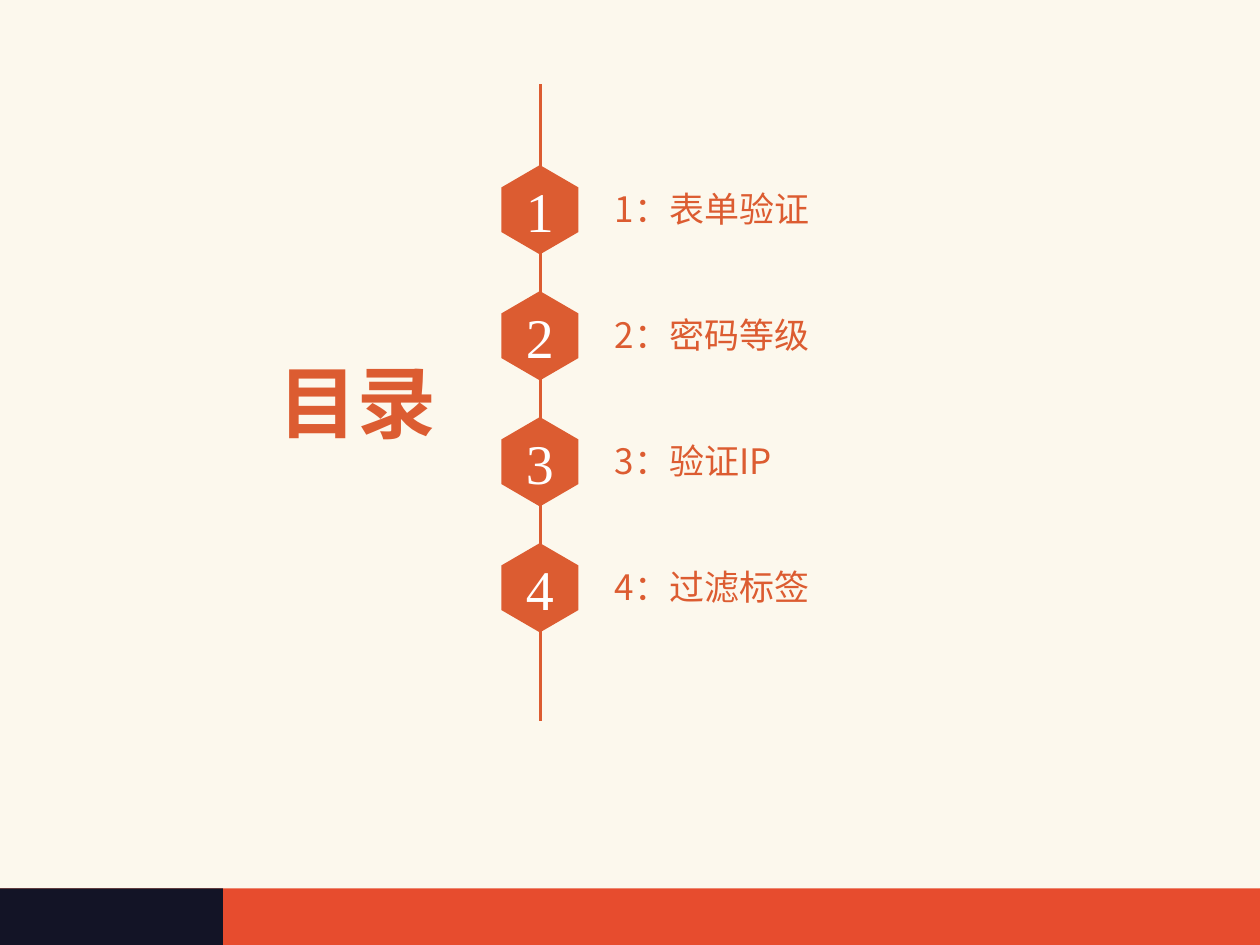
from pptx import Presentation
from pptx.dml.color import RGBColor
from pptx.enum.shapes import MSO_CONNECTOR, MSO_SHAPE
from pptx.enum.text import MSO_ANCHOR, MSO_AUTO_SIZE, PP_ALIGN
from pptx.oxml.ns import qn
from pptx.util import Inches, Pt
from lxml.etree import SubElement


def rgb(value):
    return RGBColor.from_string(value)


class AgendaSlide:
    CREAM = "FCF8ED"
    ORANGE = "DC5C31"
    RED = "E74C2E"
    NAVY = "131426"
    WHITE = "FFFFFF"
    SANS = "Noto Sans CJK SC"
    SERIF = "Times New Roman"

    def __init__(self, prs):
        self.s = prs.slides.add_slide(prs.slide_layouts[5])
        fill = self.s.background.fill
        fill.solid()
        fill.fore_color.rgb = rgb(self.CREAM)

    def paint(self, sp, color):
        sp.shadow.inherit = False
        sp.fill.solid()
        sp.fill.fore_color.rgb = rgb(color)
        sp.line.fill.background()

    def set_text(self, sp, text, size, font, color, bold=False, wrap=True,
                 align=PP_ALIGN.LEFT, anchor=MSO_ANCHOR.TOP):
        tf = sp.text_frame
        tf.text = text
        tf.word_wrap = wrap
        tf.auto_size = MSO_AUTO_SIZE.SHAPE_TO_FIT_TEXT
        tf.vertical_anchor = anchor
        tf.margin_left = tf.margin_right = Inches(0.05)
        tf.margin_top = tf.margin_bottom = Inches(0.05)
        p = tf.paragraphs[0]
        p.alignment = align
        r = p.runs[0]
        r.font.size = Pt(size)
        r.font.name = font
        r.font.bold = bold
        r.font.color.rgb = rgb(color)
        SubElement(r.font._element, qn("a:ea")).set("typeface", font)

    def title(self, text, x, y, w, h):
        sp = self.s.shapes.title
        sp.left, sp.top, sp.width, sp.height = map(Inches, (x, y, w, h))
        self.set_text(sp, text, 45, self.SANS, self.ORANGE, bold=True, wrap=False)

    def bar(self, x, y, w, h, color):
        sp = self.s.shapes.add_shape(MSO_SHAPE.RECTANGLE, *map(Inches, (x, y, w, h)))
        self.paint(sp, color)

    def line(self, x1, y1, x2, y2):
        sp = self.s.shapes.add_connector(
            MSO_CONNECTOR.STRAIGHT, *map(Inches, (x1, y1, x2, y2)))
        sp.line.color.rgb = rgb(self.ORANGE)
        sp.line.width = Pt(1.5)
        SubElement(sp._element.spPr, qn("a:effectLst"))

    def label(self, text, x, y, w, h):
        sp = self.s.shapes.add_textbox(*map(Inches, (x, y, w, h)))
        self.set_text(sp, text, 20, self.SANS, self.ORANGE)

    def badge(self, text, x, y, w, h):
        group = self.s.shapes.add_group_shape()
        points = [(x + w / 2, y), (x + w, y + h / 4), (x + w, y + h * 3 / 4),
                  (x + w / 2, y + h), (x, y + h * 3 / 4), (x, y + h / 4)]
        corners = [(Inches(px), Inches(py)) for px, py in points]
        outline = group.shapes.build_freeform(*corners[0])
        outline.add_line_segments(corners[1:], close=True)
        self.paint(outline.convert_to_shape(), self.ORANGE)
        sp = group.shapes.add_textbox(*map(Inches, (x, y + 0.06, w, 0.6)))
        self.set_text(sp, text, 32, self.SERIF, self.WHITE,
                      align=PP_ALIGN.CENTER, anchor=MSO_ANCHOR.MIDDLE)


prs = Presentation()
prs.slide_width, prs.slide_height = Inches(10), Inches(7.5)

agenda = AgendaSlide(prs)
agenda.bar(0, 7.05, 10, 0.45, agenda.RED)
agenda.bar(0, 7.05, 1.77, 0.45, agenda.NAVY)
agenda.title("目录", 2.16, 2.76, 1.36, 0.98)
agenda.line(4.29, 0.67, 4.29, 5.72)

topics = [("表单验证", 1.66), ("密码等级", 1.66), ("验证IP", 1.36), ("过滤标签", 1.66)]
for i, (topic, width) in enumerate(topics):
    top = 1.31 + i
    agenda.badge(str(i + 1), 3.98, top, 0.61, 0.71)
    agenda.label(f"{i + 1}：{topic}", 4.83, top + 0.13, width, 0.49)

prs.save("out.pptx")
